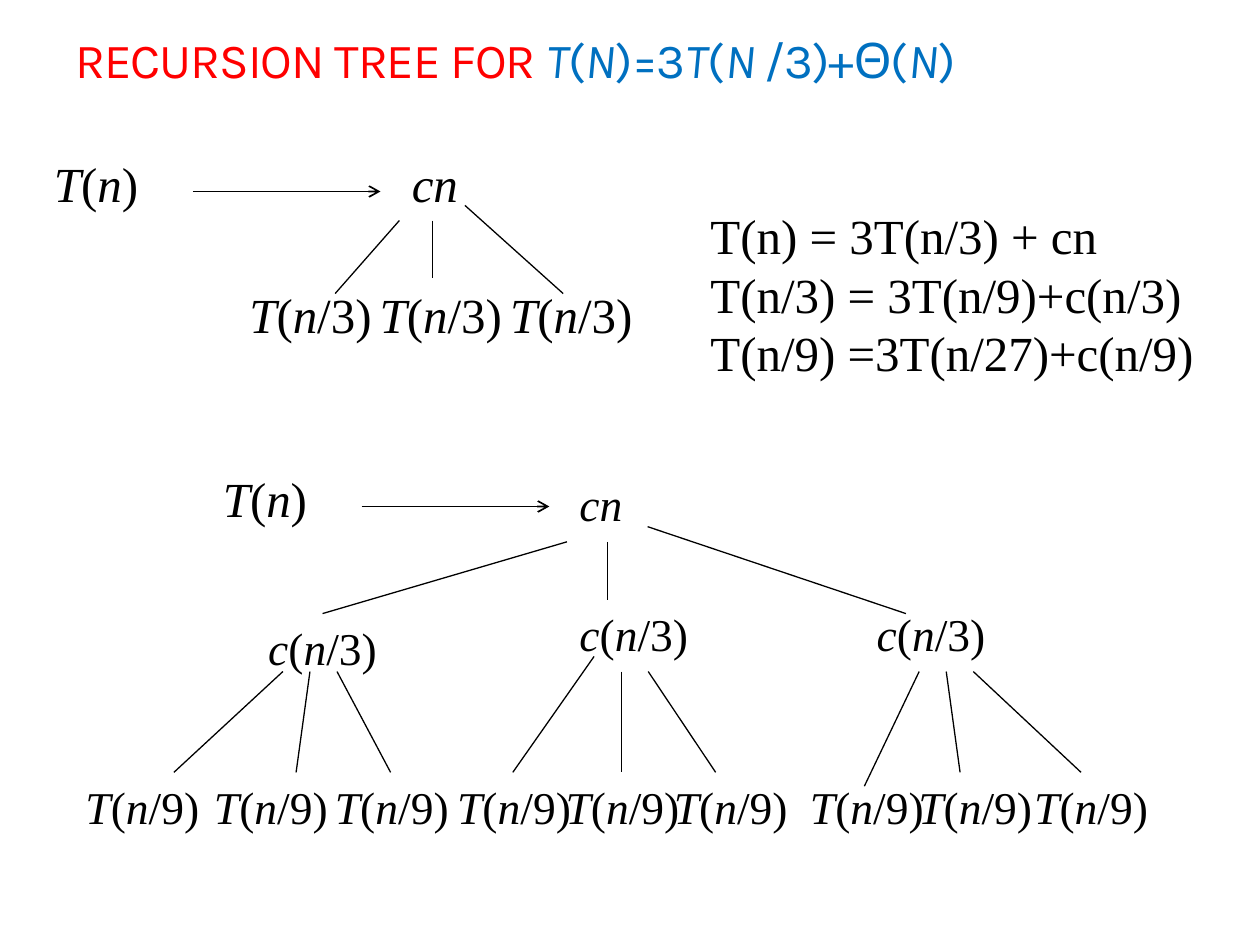
import itertools

import lxml.etree
import pptx
import pptx.dml.color
import pptx.enum.shapes
import pptx.enum.text
import pptx.oxml.ns
import pptx.util

COLORS = {"title": "FF0000", "formula": "0070C0", "ink": "000000"}
COLS, ROWS = 100, 75
SERIF = "Times New Roman"
VARIABLES = "TNnc "

prs = pptx.Presentation()
prs.slide_width = pptx.util.Inches(10)
prs.slide_height = pptx.util.Inches(7.5)


def cell(x, y):
    """Turn grid columns and rows into slide lengths."""
    return round(x * prs.slide_width / COLS), round(y * prs.slide_height / ROWS)


def add_run(p, text, color, **font):
    """Add one formatted run to a paragraph."""
    r = p.add_run()
    r.text = text
    for name, value in font.items():
        setattr(r.font, name, value)
    r.font.color.rgb = pptx.dml.color.RGBColor.from_string(COLORS[color])
    return r


def add_formula(p, text, color, **font):
    """Add a formula whose variables are italic."""
    return [add_run(p, "".join(part), color, italic=italic, **font)
            for italic, part in itertools.groupby(text, lambda ch: ch in VARIABLES)]


def add_text(shapes, box, lines, size, wrap=False, write=add_formula):
    """Place a serif text box that grows with its lines."""
    x, y, w, h = box
    tf = shapes.add_textbox(*cell(x, y), *cell(w, h)).text_frame
    tf.word_wrap = wrap
    tf.auto_size = pptx.enum.text.MSO_AUTO_SIZE.SHAPE_TO_FIT_TEXT
    for i, line in enumerate(lines):
        p = tf.add_paragraph() if i else tf.paragraphs[0]
        write(p, line, "ink", name=SERIF, size=pptx.util.Pt(size))


def add_line(shapes, start, end, width=0.75, arrow=False):
    """Draw a straight line, with an arrowhead at its end if asked."""
    line = shapes.add_connector(
        pptx.enum.shapes.MSO_CONNECTOR.STRAIGHT, *cell(*start), *cell(*end))
    line.line.width = pptx.util.Pt(width)
    line.line.color.rgb = pptx.dml.color.RGBColor.from_string(COLORS["ink"])
    qn = pptx.oxml.ns.qn
    if arrow:
        lxml.etree.SubElement(line.line._get_or_add_ln(), qn("a:tailEnd"), type="arrow")
    lxml.etree.SubElement(line._element.spPr, qn("a:effectLst"))


def add_title(s, box):
    """Fill the title placeholder."""
    x, y, w, h = box
    sp = s.shapes.title
    (sp.left, sp.top), (sp.width, sp.height) = cell(x, y), cell(w, h)
    tf = sp.text_frame
    tf.word_wrap = True
    tf.vertical_anchor = pptx.enum.text.MSO_ANCHOR.BOTTOM
    p = tf.paragraphs[0]
    p.alignment = pptx.enum.text.PP_ALIGN.LEFT
    font = {"name": "Karla", "size": pptx.util.Pt(28)}
    runs = [add_run(p, "RECURSION TREE FOR ", "title", **font)]
    runs += add_formula(p, "T(N)=3T(N /3)+Θ(N)", "formula", **font)
    for r in runs:
        r.font._element.set("spc", "-60")


def add_tree(s, origin, nodes, edges, size):
    """Draw T(n), its arrow and the tree it expands to, offset from an origin."""
    x, y = origin
    shapes = s.shapes.add_group_shape().shapes
    add_text(shapes, (x, y, 14.6, 7), ["T(n)"], 28, wrap=True)
    add_line(shapes, (x + 12, y + 3.5), (x + 26.9, y + 3.5), width=1, arrow=True)
    for text, left, top, w, h in nodes:
        add_text(shapes, (x + left, y + top, w, h), [text], size)
    for x1, y1, x2, y2 in edges:
        add_line(shapes, (x + x1, y + y1), (x + x2, y + y2))


def add_first_tree(s, origin):
    """Expand T(n) by one level."""
    nodes = [("cn", 28.4, 0, 6.6, 7)]
    nodes += [("T(n/3)", 15.5 + 10.35 * i, 10.4, 13.8, 7) for i in range(3)]
    edges = [(28.4, 5.8, 23.3, 11.6), (31, 5.8, 31, 10.4), (33.6, 4.6, 41.4, 11.6)]
    add_tree(s, origin, nodes, edges, 28)


def add_second_tree(s, origin):
    """Expand T(n) by two levels."""
    nodes = [("cn", 28.3, 0.6, 5.5, 5.4)]
    nodes += [("c(n/3)", left, top, 10.7, 5.4)
              for left, top in ((3.6, 12), (28.3, 10.9), (51.9, 10.9))]
    leaves = (-10.9, -0.7, 8.9, 18.6, 27.2, 35.8, 46.6, 55.2, 64.4)
    nodes += [("T(n/9)", left, 24.6, 11.3, 5.4) for left in leaves]
    edges = [(28.3, 6.3, 8.9, 12), (31.5, 6.3, 31.5, 10.9), (34.7, 5.1, 55.2, 12)]
    fans = {5.75: (-2.9, 6.8, 14.3), 30.45: (24, 32.6, 40.1), 56.25: (51.9, 59.5, 69.1)}
    tops, bottoms = {24: 15.4}, {51.9: 25.7}
    edges += [(start + 2.15 * i, tops.get(end, 16.6), end, bottoms.get(end, 24.6))
              for start, ends in fans.items() for i, end in enumerate(ends)]
    add_tree(s, origin, nodes, edges, 26)


def add_equations(s, box):
    """List the recurrence at each level."""
    lines = ["T(n) = 3T(n/3) + cn", "T(n/3) = 3T(n/9)+c(n/3)", "T(n/9) =3T(n/27)+c(n/9)"]
    add_text(s.shapes, box, lines, 28, write=add_run)


def main():
    """Build the slide."""
    s = prs.slides.add_slide(prs.slide_layouts[5])
    add_title(s, (5, 0.3, 81.7, 7.2))
    add_first_tree(s, (3.3, 11.7))
    add_equations(s, (55.4, 15.8, 40.8, 15.1))
    add_second_tree(s, (16.7, 36.7))
    prs.save("out.pptx")


if __name__ == "__main__":
    main()
